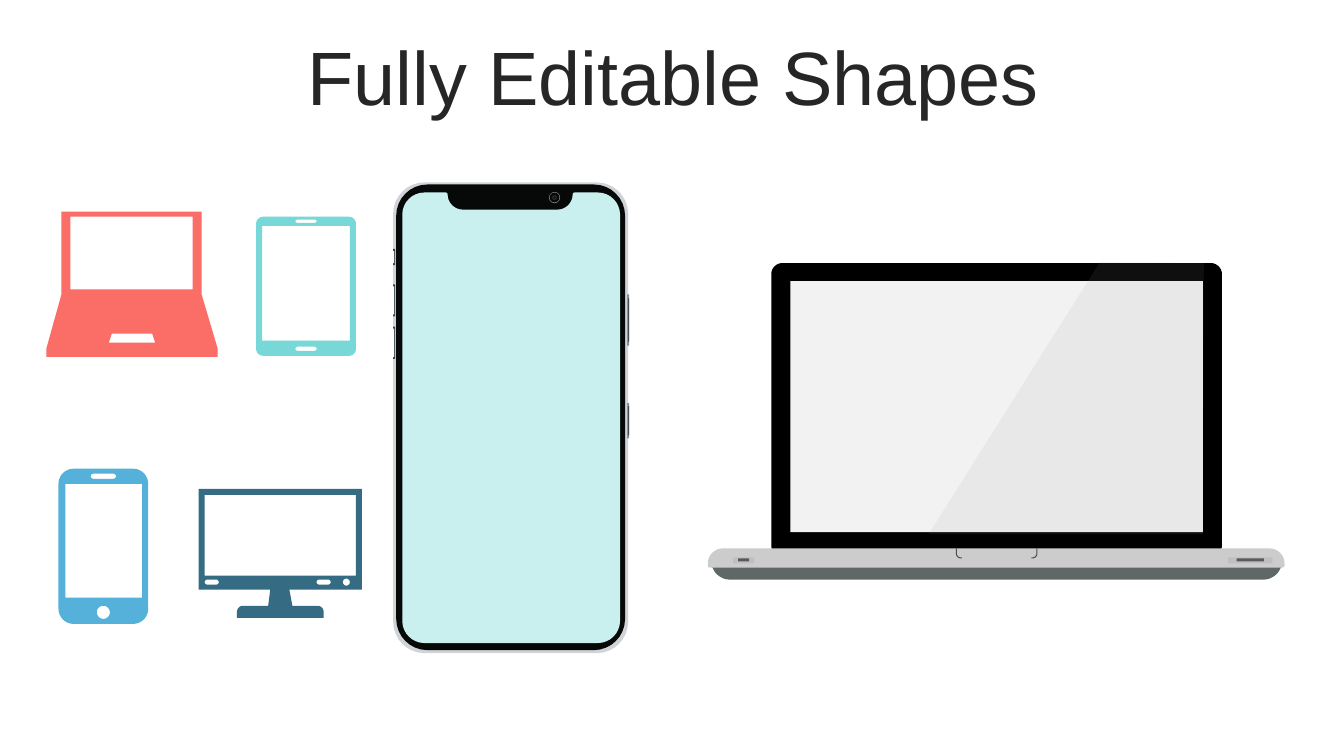
from math import hypot

from lxml import etree
from pptx import Presentation
from pptx.dml.color import RGBColor
from pptx.enum.shapes import MSO_SHAPE
from pptx.enum.text import MSO_ANCHOR, PP_ALIGN
from pptx.oxml.ns import qn
from pptx.util import Inches, Pt

RECT, ROUND, OVAL = MSO_SHAPE.RECTANGLE, MSO_SHAPE.ROUNDED_RECTANGLE, MSO_SHAPE.OVAL
MIDDLE, CENTER = MSO_ANCHOR.MIDDLE, PP_ALIGN.CENTER

INK = RGBColor(0x26, 0x26, 0x26)
CORAL = RGBColor(0xFB, 0x6D, 0x67)
TEAL = RGBColor(0x78, 0xD7, 0xD7)
SKY = RGBColor(0x55, 0xB0, 0xDA)
NAVY = RGBColor(0x35, 0x6C, 0x84)
RIM = RGBColor(0xD0, 0xD4, 0xD8)
BEZEL = RGBColor(0x07, 0x08, 0x08)
AQUA = RGBColor(0xC9, 0xEF, 0xEF)
SLATE = RGBColor(0x36, 0x45, 0x51)
SHINE = RGBColor(0xFA, 0xFD, 0xFF)
STEEL = RGBColor(0x8A, 0x90, 0x96)
IRON = RGBColor(0x4A, 0x4C, 0x4D)
LENS_RING = RGBColor(0xA6, 0xA6, 0xA6)
PUPIL = RGBColor(0x08, 0x14, 0x22)
BLACK = RGBColor(0x00, 0x00, 0x00)
PANEL = RGBColor(0xF2, 0xF2, 0xF2)
FOOT = RGBColor(0x5F, 0x67, 0x67)
DECK = RGBColor(0xCC, 0xCC, 0xCC)
HINGE = RGBColor(0x4D, 0x4D, 0x4D)
SLOT = RGBColor(0xBF, 0xBF, 0xBF)
SLIT = RGBColor(0x59, 0x59, 0x59)
GLARE = RGBColor(0x99, 0x99, 0x99)


def paint(s, color):
    """Give a shape a flat fill with no line or shadow."""
    s.shadow.inherit = False
    s.fill.solid()
    s.fill.fore_color.rgb = color
    s.line.fill.background()
    return s


def block(slide, kind, x, y, w, h, color):
    """Add a preset shape."""
    return paint(slide.shapes.add_shape(kind, Inches(x), Inches(y), Inches(w), Inches(h)), color)


def toward(a, b, dist):
    """Return the point at a distance from a on the way to b."""
    t = dist / hypot(b[0] - a[0], b[1] - a[1])
    return a[0] + (b[0] - a[0]) * t, a[1] + (b[1] - a[1]) * t


def soften(corners):
    """Turn corners (x, y[, radius]) into points that follow round arcs."""
    pts = []
    for i, corner in enumerate(corners):
        p = corner[:2]
        if len(corner) == 2 or not corner[2]:
            pts.append(p)
            continue
        a = toward(p, corners[i - 1], corner[2])
        b = toward(p, corners[(i + 1) % len(corners)], corner[2])
        c, d = (toward(q, p, 0.55 * corner[2]) for q in (a, b))
        for n in range(9):
            t = n / 8
            u = 1 - t
            weights = u ** 3, 3 * u * u * t, 3 * u * t * t, t ** 3
            pts.append(tuple(sum(k * q[j] for k, q in zip(weights, (a, c, d, b)))
                             for j in (0, 1)))
    return pts


def box(x, y, w, h, r=0):
    """Return the corners of a rectangle."""
    return [(x, y, r), (x + w, y, r), (x + w, y + h, r), (x, y + h, r)]


def outline(slide, x, y, color, *contours):
    """Add one freeform of several contours, inner ones cutting holes."""
    builder = None
    for contour in contours:
        pts = [(Inches(x + px), Inches(y + py)) for px, py in soften(contour)]
        if builder is None:
            builder = slide.shapes.build_freeform(*pts[0])
        else:
            builder.move_to(*pts[0])
        builder.add_line_segments(pts[1:], close=True)
    return paint(builder.convert_to_shape(), color)


def title(slide, x, y, w, h):
    """Add the centred heading."""
    tf = slide.shapes.add_textbox(Inches(x), Inches(y), Inches(w), Inches(h)).text_frame
    tf.word_wrap = True
    tf.vertical_anchor = MIDDLE
    p = tf.paragraphs[0]
    p.alignment = CENTER
    p.line_spacing = 0.9
    r = p.add_run()
    r.text = "Fully Editable Shapes"
    r.font.name, r.font.size = "Arial", Pt(54)
    r.font.color.rgb = INK


def laptop_icon(slide, x, y):
    """Add the flat open laptop."""
    body = [(0.15, 0), (1.54, 0), (1.54, 0.82), (1.7, 1.36), (1.7, 1.44),
            (0, 1.44), (0, 1.36), (0.15, 0.82)]
    touchpad = [(0.65, 1.21), (1.05, 1.21), (1.08, 1.3), (0.62, 1.3)]
    outline(slide, x, y, CORAL, body, box(0.24, 0.05, 1.21, 0.72), touchpad)


def tablet_icon(slide, x, y):
    """Add the flat tablet."""
    outline(slide, x, y, TEAL, box(0, 0, 0.99, 1.38, 0.07), box(0.06, 0.09, 0.87, 1.14),
            box(0.39, 0.03, 0.21, 0.03, 0.015), box(0.39, 1.29, 0.21, 0.04, 0.02))


def phone_icon(slide, x, y):
    """Add the flat phone."""
    outline(slide, x, y, SKY, box(0, 0, 0.89, 1.54, 0.15), box(0.07, 0.15, 0.76, 1.13),
            box(0.32, 0.05, 0.25, 0.05, 0.025), box(0.38, 1.36, 0.13, 0.13, 0.065))


def monitor_icon(slide, x, y):
    """Add the flat desktop monitor."""
    body = [(0, 0), (1.62, 0), (1.62, 1), (0.9, 1), (0.93, 1.16), (1.24, 1.16, 0.06),
            (1.24, 1.28), (0.38, 1.28), (0.38, 1.16, 0.06), (0.69, 1.16), (0.71, 1), (0, 1)]
    buttons = [box(bx, 0.9, 0.14, 0.05, 0.025) for bx in (0.06, 1.17)]
    outline(slide, x, y, NAVY, body, box(0.06, 0.06, 1.5, 0.8), *buttons,
            box(1.43, 0.89, 0.07, 0.07, 0.035))


def smartphone(slide, x, y):
    """Add the detailed phone with notch, lens and side buttons."""
    outline(slide, x, y, RIM, box(0, 0, 2.33, 4.67, 0.31))
    outline(slide, x, y, BEZEL, box(0.03, 0.02, 2.27, 4.62, 0.31))
    outline(slide, x, y, AQUA, [
        (0.09, 0.1, 0.22), (0.54, 0.1, 0.02), (0.54, 0.27, 0.15), (1.78, 0.27, 0.15),
        (1.78, 0.1, 0.02), (2.25, 0.1, 0.22), (2.25, 4.57, 0.22), (0.09, 4.57, 0.22)])
    for dx, dy, h, shift, inset, edge, face in (
            (0, 0.66, 0.16, 0, 0.02, SLATE, SHINE), (0, 1.01, 0.32, 0, 0.02, SLATE, SHINE),
            (0, 1.43, 0.32, 0, 0.02, SLATE, SHINE), (2.32, 1.11, 0.51, 0.01, 0.04, STEEL, IRON),
            (2.32, 2.19, 0.35, 0.01, 0.03, STEEL, IRON)):
        block(slide, RECT, x + dx, y + dy, 0.02, h, edge)
        block(slide, RECT, x + dx + shift, y + dy + inset, 0.01, h - 2 * inset, face)
    for d, color in (0.11, LENS_RING), (0.1, BEZEL), (0.05, INK), (0.02, PUPIL):
        block(slide, OVAL, x + 1.6 - d / 2, y + 0.15 - d / 2, d, d, color)


def notebook(slide, x, y):
    """Add the detailed laptop with base, hinge, ports and screen glare."""
    outline(slide, x, y, FOOT, [(0.04, 2.98), (5.69, 2.98), (5.69, 3.01), (5.62, 3.14, 0.1),
                                (0.11, 3.14, 0.1), (0.04, 3.01)])
    outline(slide, x, y, BLACK, box(0.63, 0, 4.47, 2.91, 0.11))
    block(slide, RECT, x + 0.82, y + 0.18, 4.09, 2.49, PANEL)
    outline(slide, x, y, DECK, [(0, 2.83, 0.15), (5.72, 2.83, 0.15),
                                (5.72, 3.02, 0.02), (0, 3.02, 0.02)])
    hook = [(0, 0), (0.01, 0), (0.01, 0.09, 0.04), (0.06, 0.09), (0.06, 0.1), (0, 0.1, 0.05)]
    mirrored = [(0.81 - px, *rest) for px, *rest in hook]
    outline(slide, x + 2.46, y + 2.83, HINGE, hook, mirrored)
    for dx, w, slit in (0.25, 0.21, 0.11), (5.16, 0.44, 0.27):
        block(slide, ROUND, x + dx, y + 2.92, w, 0.06, SLOT)
        block(slide, ROUND, x + dx + (w - slit) / 2, y + 2.93, slit, 0.03, SLIT)
    s = outline(slide, x, y, GLARE, [(3.89, -0.01), (4.92, 0), (4.91, 2.69), (2.19, 2.69)])
    clr = s.fill._xPr.find(qn("a:solidFill"))[0]
    etree.SubElement(clr, qn("a:alpha")).set("val", "10000")


def main():
    """Build the slide and save it."""
    prs = Presentation()
    prs.slide_width, prs.slide_height = Inches(13.33), Inches(7.5)
    slide = prs.slides.add_slide(prs.slide_layouts[6])
    title(slide, 0.35, 0.41, 12.66, 0.79)
    smartphone(slide, 3.9, 1.81)
    notebook(slide, 7.02, 2.61)
    laptop_icon(slide, 0.46, 2.1)
    phone_icon(slide, 0.58, 4.65)
    monitor_icon(slide, 1.97, 4.85)
    tablet_icon(slide, 2.54, 2.15)
    prs.save("out.pptx")


if __name__ == "__main__":
    main()
